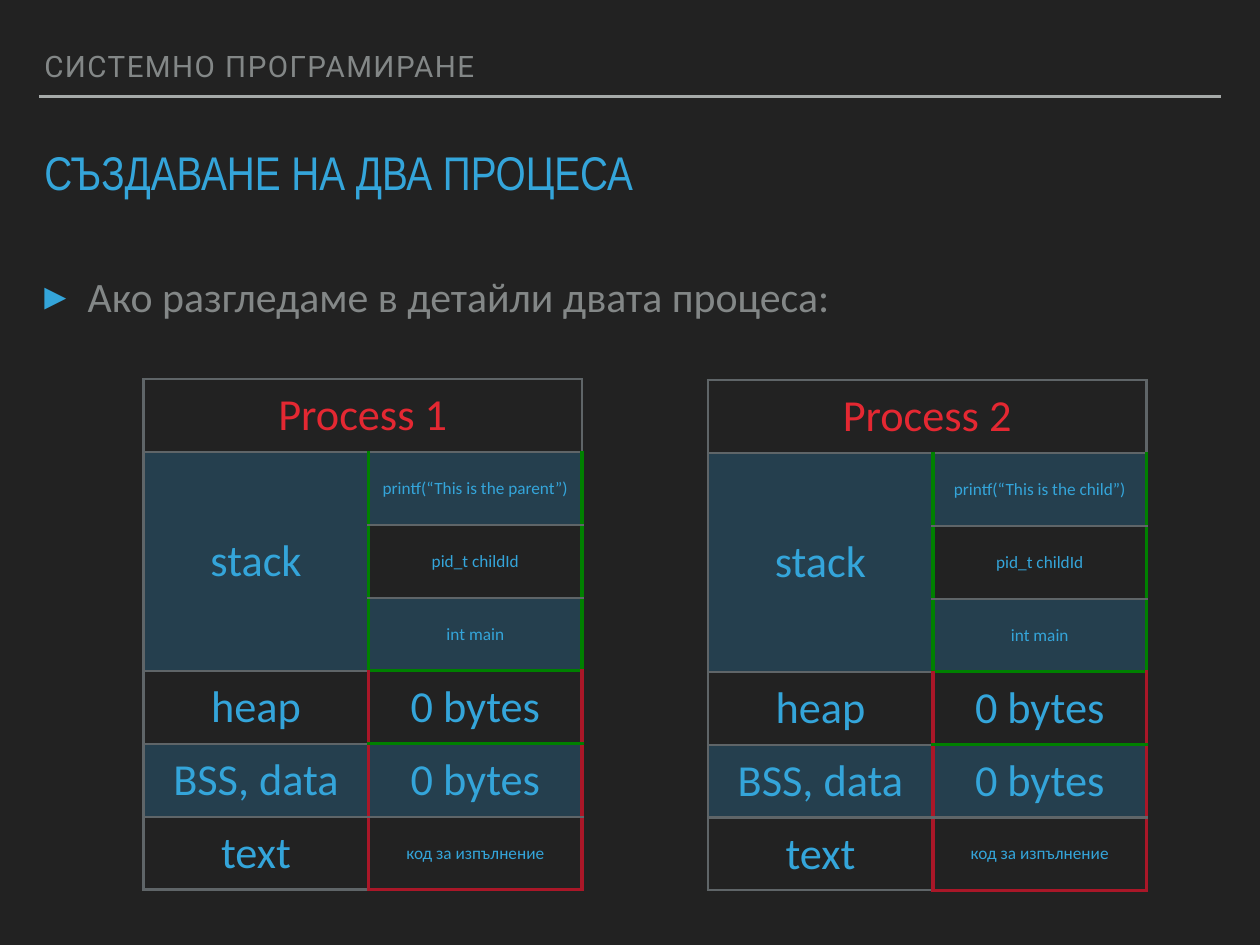
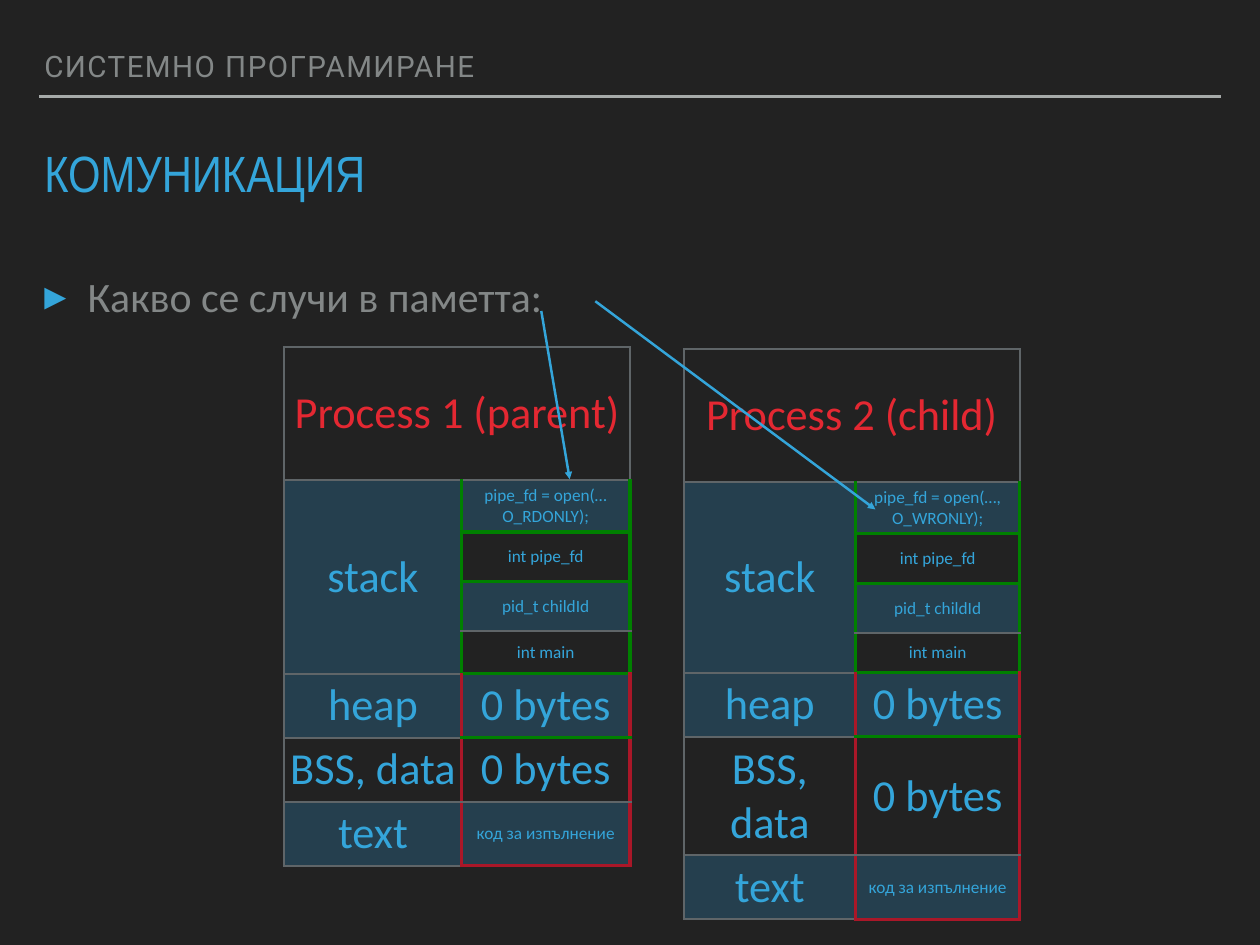
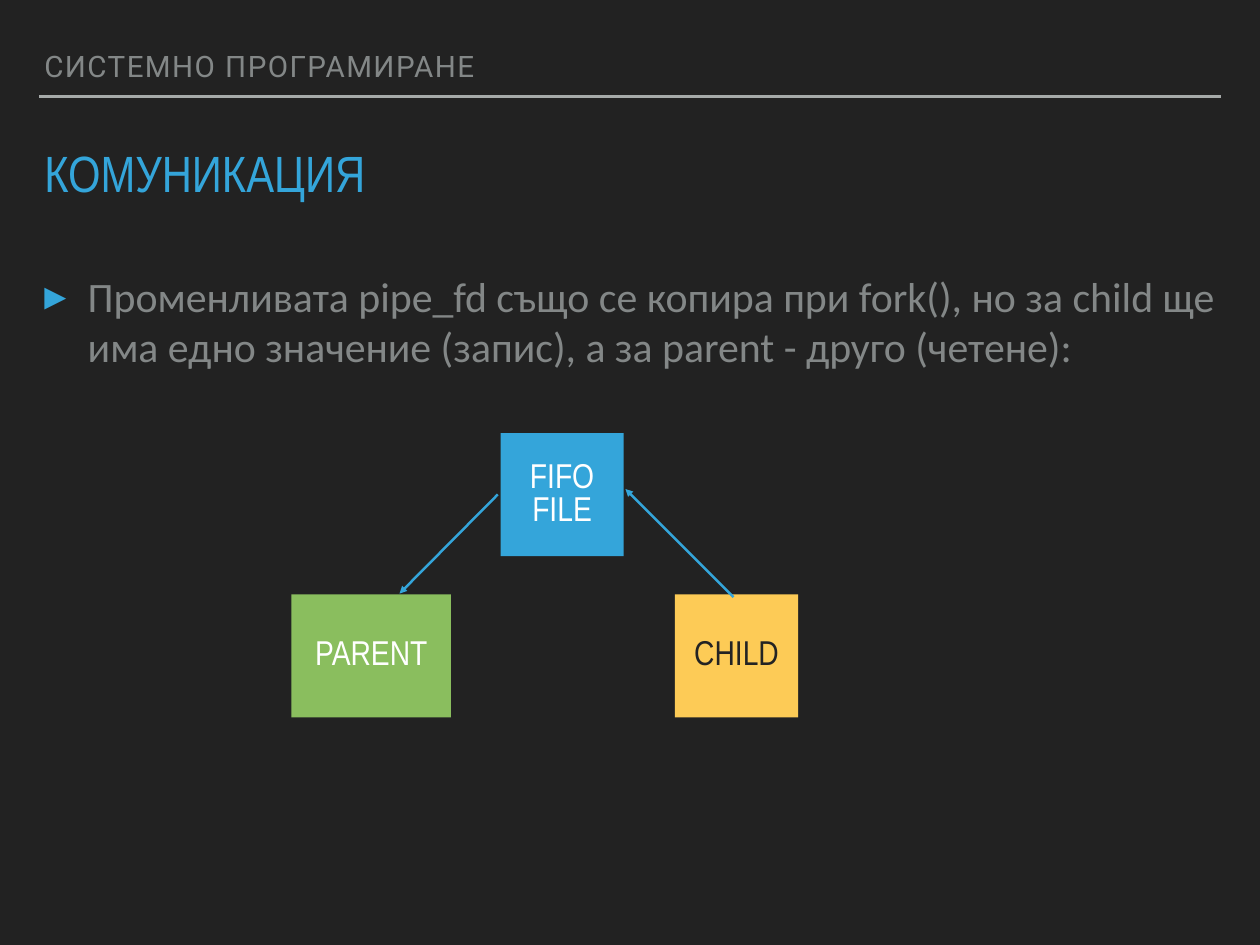
"""Build three slides on processes, their memory and communication through a FIFO."""
from lxml.etree import SubElement
from pptx import Presentation
from pptx.dml.color import RGBColor
from pptx.enum.shapes import MSO_CONNECTOR, MSO_SHAPE
from pptx.enum.text import MSO_ANCHOR, MSO_AUTO_SIZE, PP_ALIGN
from pptx.oxml.ns import qn
from pptx.util import Pt

BACKGROUND, DARK, WHITE = "222222", "232323", "FFFFFF"
BLUE, GRAY, RULE = "34A5DA", "838787", "A6AAA9"
GRID, GREEN, RED, HEADING, BAND = "5F6568", "008000", "AA1728", "E42832", "2E87BB"
NARROW, SANS, HEADER_FONT = "Arial Narrow", "Calibri", "Roboto"
MARGIN = 4
LARGE, SMALL = 36, 14

HEADER = "СИСТЕМНО ПРОГРАМИРАНЕ"
SLIDES = [
    ("СЪЗДАВАНЕ НА ДВА ПРОЦЕСА", 38.4, 17, "Ако разгледаме в детайли двата процеса:"),
    ("КОМУНИКАЦИЯ", 41.4, 19, "Какво се случи в паметта:"),
    ("КОМУНИКАЦИЯ", 41.4, 19,
     "Променливата pipe_fd също се копира при fork(), но за child ще "
     "има едно значение (запис), а за parent - друго (четене):"),
]

SEGMENTS = [
    ("heap", "0 bytes", LARGE, RED, GREEN),
    ("BSS, data", "0 bytes", LARGE, RED, GRID),
    ("text", "код за изпълнение", SMALL, RED, RED),
]
CALLS = [("pid_t childId", GRID), ("int main", GREEN)]
PIPE = [("int pipe_fd", GREEN)]
CREATED_ROWS = [59.25] * 7
TABLES = [
    (0, "Process 1", [('printf(“This is the parent”)', GRID)] + CALLS,
     (116.6, 308.2), (183, 173.5), CREATED_ROWS, 414),
    (0, "Process 2", [('printf(“This is the child”)', GRID)] + CALLS,
     (575.3, 308.9), (183, 173.5), CREATED_ROWS, 414),
    (1, "Process 1 (parent)", [("pipe_fd = open(… O_RDONLY);", GREEN)] + PIPE + CALLS,
     (231.1, 282.2), (144, 136.8), [108, 40.3, 40.3, 40.3, 34.6, 46.8, 40.3, 41], 462),
    (1, "Process 2 (child)", [("pipe_fd = open(…, O_WRONLY);", GREEN)] + PIPE + CALLS,
     (555.8, 283.7), (139.7, 133.2), [108, 40.3, 40.3, 40.3, 32.4, 48.2, 40.3, 41], 460),
]
BOXES = [
    ("PARENT", (236.9, 483.1, 129.6, 100), "8ABE5E", WHITE),
    ("CHILD", (548.6, 483.1, 100, 100), "FDCB56", DARK),
    ("FIFO FILE", (406.8, 352.1, 100, 100), BLUE, WHITE),
]
ARROWS = [
    (1, (483.8, 244.8), (711.4, 414)),
    (1, (439.9, 252.7), (463, 389.5)),
    (2, (596.2, 485.3), (508.3, 397.4)),
    (2, (404.6, 401.8), (324.7, 482.4)),
]


def color(value):
    return RGBColor.from_string(value)


def fill(shape, value):
    shape.fill.solid()
    shape.fill.fore_color.rgb = color(value)


def write(frame, text, font, size, ink, align=PP_ALIGN.LEFT, before=0, spacing=None):
    frame.text = text
    paragraph = frame.paragraphs[0]
    paragraph.alignment = align
    paragraph.space_before = Pt(before)
    if spacing:
        paragraph.line_spacing = spacing
    run = paragraph.runs[0]
    run.font.name, run.font.size = font, Pt(size)
    run.font.color.rgb = color(ink)
    return paragraph


def set_frame(frame, anchor, auto_size=MSO_AUTO_SIZE.NONE):
    frame.margin_left = frame.margin_right = Pt(MARGIN)
    frame.margin_top = frame.margin_bottom = Pt(MARGIN)
    frame.vertical_anchor, frame.word_wrap = anchor, True
    frame.auto_size = auto_size


def place(shape, left, top, width, height):
    shape.left, shape.top = Pt(left), Pt(top)
    shape.width, shape.height = Pt(width), Pt(height)


def add_line(slide, start, end, ink, arrow=False):
    points = [Pt(value) for value in start + end]
    line = slide.shapes.add_connector(MSO_CONNECTOR.STRAIGHT, *points)
    line.line.width = Pt(2)
    line.line.color.rgb = color(ink)
    properties = line.element.spPr
    if arrow:
        SubElement(properties.find(qn("a:ln")), qn("a:tailEnd"), type="triangle")
    SubElement(properties, qn("a:effectLst"))
    return line


def add_bullet(paragraph, indent):
    properties = paragraph._p.get_or_add_pPr()
    properties.set("marL", str(Pt(indent)))
    properties.set("indent", str(-Pt(indent)))
    SubElement(SubElement(properties, qn("a:buClr")), qn("a:srgbClr"), val=BLUE)
    SubElement(properties, qn("a:buSzPct"), val="105000")
    SubElement(properties, qn("a:buChar"), char="▸")


def add_slide(presentation, layout, title, size, before, statement):
    slide = presentation.slides.add_slide(layout)
    heading, header, body = slide.placeholders
    place(header, 32, 36, 880, 36)
    place(heading, 32, 121, 960, 57)
    place(body, 32, 216, 960, 481)
    set_frame(header.text_frame, MSO_ANCHOR.BOTTOM, MSO_AUTO_SIZE.SHAPE_TO_FIT_TEXT)
    set_frame(heading.text_frame, MSO_ANCHOR.TOP)
    set_frame(body.text_frame, MSO_ANCHOR.TOP)

    label = write(header.text_frame, HEADER, HEADER_FONT, 24, GRAY, spacing=0.8)
    label.runs[0]._r.get_or_add_rPr().set("spc", "120")
    properties = label._p.get_or_add_pPr()
    properties.set("marL", "0")
    properties.set("indent", "0")
    SubElement(properties, qn("a:buNone"))

    write(heading.text_frame, title, NARROW, size, BLUE, before=before, spacing=0.8)
    add_bullet(write(body.text_frame, statement, SANS, 34, GRAY, before=28), 35.3)
    return slide


def style_cell(cell, banded, left, right, top, bottom):
    properties = cell._tc.get_or_add_tcPr()
    for side, ink in zip("LRTB", (left, right, top, bottom)):
        width = Pt(2 if ink == GRID else 3)
        line = SubElement(properties, qn(f"a:ln{side}"), w=str(width))
        SubElement(SubElement(line, qn("a:solidFill")), qn("a:srgbClr"), val=ink)
    if banded:
        fill(cell, BAND)
        shade = properties.find(qn("a:solidFill")).find(qn("a:srgbClr"))
        SubElement(shade, qn("a:alpha"), val="29000")
    else:
        cell.fill.background()
    cell.margin_left = cell.margin_right = Pt(MARGIN)
    cell.margin_top = cell.margin_bottom = Pt(MARGIN)
    cell.vertical_anchor = MSO_ANCHOR.MIDDLE


def write_cell(cell, text, size, ink=BLUE):
    write(cell.text_frame, text, SANS, size, ink, PP_ALIGN.CENTER, before=24)


def add_process(slide, name, calls, corner, widths, heights, height):
    stack = [("", call, SMALL, GREEN, bottom) for call, bottom in calls]
    rows = [("", "", LARGE, GRID, GRID)] + stack + SEGMENTS
    frame = slide.shapes.add_table(len(rows), 2, *map(Pt, corner), Pt(sum(widths)), Pt(height))
    table = frame.table
    table.first_row = table.horz_banding = False
    for column, width in zip(table.columns, widths):
        column.width = Pt(width)
    for row, row_height in zip(table.rows, heights):
        row.height = Pt(row_height)
    frame.height = Pt(height)

    top = GRID
    for index, (label, detail, size, edge, bottom) in enumerate(rows):
        label_cell, detail_cell = table.cell(index, 0), table.cell(index, 1)
        style_cell(label_cell, index % 2, GRID, edge, GRID, GRID)
        style_cell(detail_cell, index % 2, edge, edge, top, bottom)
        if label:
            write_cell(label_cell, label, LARGE)
        if detail:
            write_cell(detail_cell, detail, size)
        top = bottom
    table.cell(0, 0).merge(table.cell(0, 1))
    table.cell(1, 0).merge(table.cell(len(stack), 0))
    write_cell(table.cell(0, 0), name, LARGE, HEADING)
    write_cell(table.cell(1, 0), "stack", LARGE)


def add_box(slide, text, bounds, background, ink):
    box = slide.shapes.add_shape(MSO_SHAPE.RECTANGLE, *map(Pt, bounds))
    box.shadow.inherit = False
    fill(box, background)
    box.line.fill.background()
    set_frame(box.text_frame, MSO_ANCHOR.MIDDLE)
    write(box.text_frame, text, NARROW, 28, ink, PP_ALIGN.CENTER, spacing=0.8)


def main():
    presentation = Presentation()
    presentation.slide_width, presentation.slide_height = Pt(1024), Pt(768)
    fill(presentation.slide_master.background, BACKGROUND)
    layout = presentation.slide_layouts.get_by_name("Two Content")
    slides = [add_slide(presentation, layout, *content) for content in SLIDES]
    rule = add_line(slides[0], (32, 78.5), (992, 78.5), RULE)
    layout.shapes.element.append(rule.element)

    for number, *process in TABLES:
        add_process(slides[number], *process)
    for box in BOXES:
        add_box(slides[2], *box)
    for number, start, end in ARROWS:
        add_line(slides[number], start, end, BLUE, arrow=True)
    presentation.save("out.pptx")


main()
